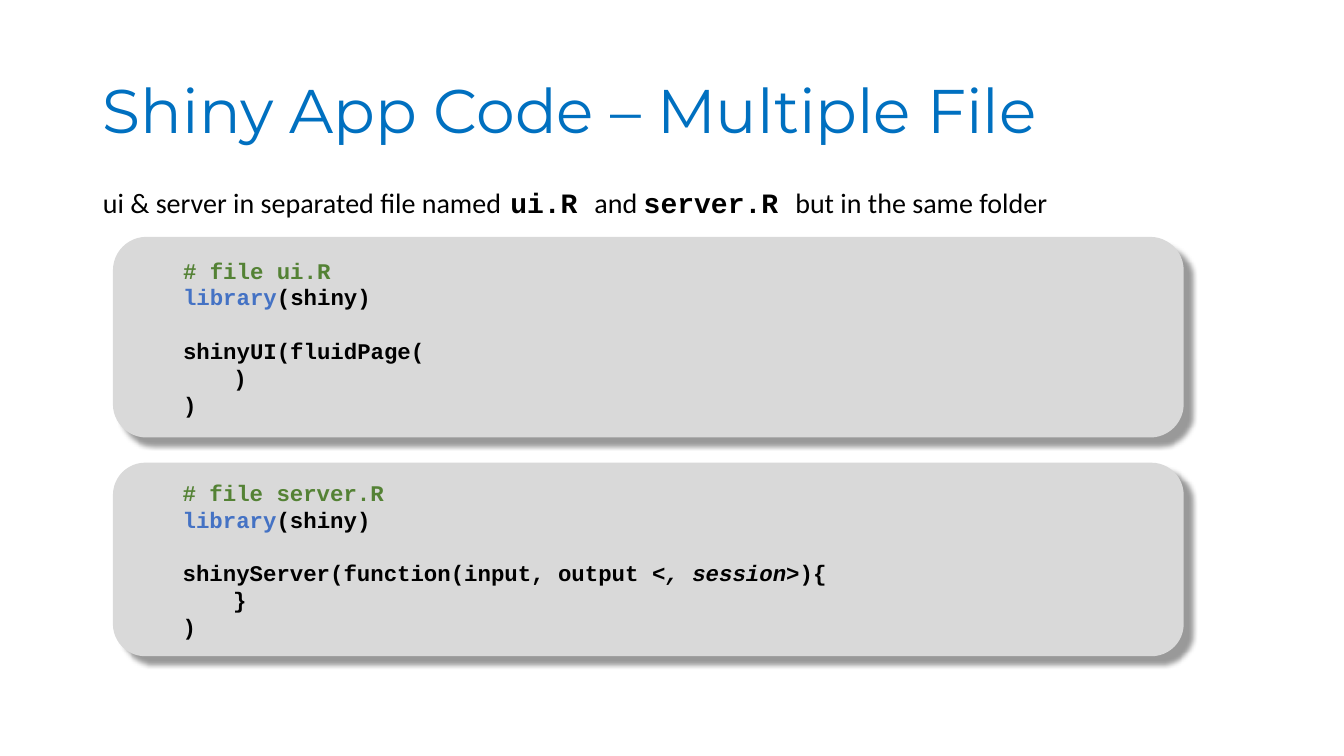
"""Build the slide on splitting a Shiny app into ui.R and server.R."""
from lxml import etree
from pptx import Presentation
from pptx.dml.color import RGBColor
from pptx.enum.shapes import MSO_SHAPE
from pptx.enum.text import MSO_ANCHOR, MSO_AUTO_SIZE, PP_ALIGN
from pptx.oxml.ns import qn
from pptx.util import Inches, Pt

ROUNDED = MSO_SHAPE.ROUNDED_RECTANGLE
MIDDLE, TOP = MSO_ANCHOR.MIDDLE, MSO_ANCHOR.TOP
LEFT = PP_ALIGN.LEFT
NO_AUTOFIT = MSO_AUTO_SIZE.NONE

BLUE = RGBColor(0x00, 0x70, 0xC0)
GREY = RGBColor(0xD9, 0xD9, 0xD9)
GREEN = RGBColor(0x54, 0x82, 0x35)
KEYWORD = RGBColor(0x44, 0x72, 0xC4)
BLACK = RGBColor(0, 0, 0)

HEADING_FONT, PROSE_FONT, CODE_FONT = "Montserrat", "Calibri", "Courier New"
CODE_SIZE = 16
BLANK_LINE = Pt(19)

HEADING = "Shiny App Code – Multiple File"
INTRO = [
    ("ui & server in separated file named", PROSE_FONT, 20),
    (" ", PROSE_FONT, 28),
    ("ui.R ", CODE_FONT, 20),
    ("and ", PROSE_FONT, 20),
    ("server.R ", CODE_FONT, 20),
    ("but in the same folder", PROSE_FONT, 20),
]
LIBRARY_LINE = [("library", KEYWORD, False), ("(shiny)", BLACK, False)]
CODE_FILES = [
    (2.35, 1.99, [
        [("# file ui.R", GREEN, False)],
        LIBRARY_LINE,
        [("shinyUI(fluidPage(", BLACK, False)],
        [("\t)", BLACK, False)],
        [(")", BLACK, False)],
    ]),
    (4.59, 1.92, [
        [("# file server.R", GREEN, False)],
        LIBRARY_LINE,
        [("shinyServer(function(input, output ", BLACK, False),
         ("<, session>", BLACK, True), ("){", BLACK, False)],
        [("\t}", BLACK, False)],
        [(")", BLACK, False)],
    ]),
]


def place(shape, left, top, width, height):
    shape.left, shape.top = Inches(left), Inches(top)
    shape.width, shape.height = Inches(width), Inches(height)


def add_run(paragraph, text, font, size, color, bold=False, italic=False):
    run = paragraph.add_run()
    run.text = text
    run.font.name, run.font.size = font, Pt(size)
    run.font.color.rgb = color
    run.font.bold, run.font.italic = bold, italic


def add_shadow(shape):
    shape.shadow.inherit = False
    effects = shape._element.spPr.find(qn("a:effectLst"))
    shadow = etree.SubElement(effects, qn("a:outerShdw"), blurRad=str(Pt(4)),
                              dist=str(Pt(8)), dir="2700000", algn="tl",
                              rotWithShape="0")
    color = etree.SubElement(shadow, qn("a:srgbClr"), val="000000")
    etree.SubElement(color, qn("a:alpha"), val="40000")


def add_code_panel(slide, top, height, lines):
    panel = slide.shapes.add_shape(ROUNDED, Inches(1.12), Inches(top),
                                   Inches(10.62), Inches(height))
    panel.fill.solid()
    panel.fill.fore_color.rgb = GREY
    panel.line.fill.background()
    add_shadow(panel)
    frame = panel.text_frame
    frame.vertical_anchor = MIDDLE
    for number, line in enumerate(lines):
        paragraph = frame.add_paragraph() if number else frame.paragraphs[0]
        paragraph.level, paragraph.alignment = 1, LEFT
        if line is not LIBRARY_LINE and lines[number - 1] is LIBRARY_LINE:
            paragraph.space_before = BLANK_LINE
        for text, color, italic in line:
            add_run(paragraph, text, CODE_FONT, CODE_SIZE, color, True, italic)


def main():
    deck = Presentation()
    deck.slide_width, deck.slide_height = Inches(13.33), Inches(7.5)
    slide = deck.slides.add_slide(deck.slide_layouts[1])

    heading = slide.shapes.title
    place(heading, 0.92, 0.4, 11.5, 1.45)
    heading.text_frame.vertical_anchor = MIDDLE
    heading.text_frame.auto_size = NO_AUTOFIT
    title_line = heading.text_frame.paragraphs[0]
    title_line.alignment, title_line.line_spacing = LEFT, 0.9
    add_run(title_line, HEADING, HEADING_FONT, 44, BLUE)

    for top, height, lines in CODE_FILES:
        add_code_panel(slide, top, height, lines)

    intro = slide.placeholders[1]
    place(intro, 0.92, 1.73, 11.5, 0.56)
    intro.text_frame.vertical_anchor = TOP
    intro.text_frame.auto_size = NO_AUTOFIT
    sentence = intro.text_frame.paragraphs[0]
    sentence.line_spacing, sentence.space_before = 0.9, Pt(10)
    properties = sentence._p.get_or_add_pPr()
    properties.set("marL", "0")
    properties.set("indent", "0")
    etree.SubElement(properties, qn("a:buNone"))
    for text, font, size in INTRO:
        add_run(sentence, text, font, size, BLACK, font == CODE_FONT)

    deck.save("out.pptx")


if __name__ == "__main__":
    main()
